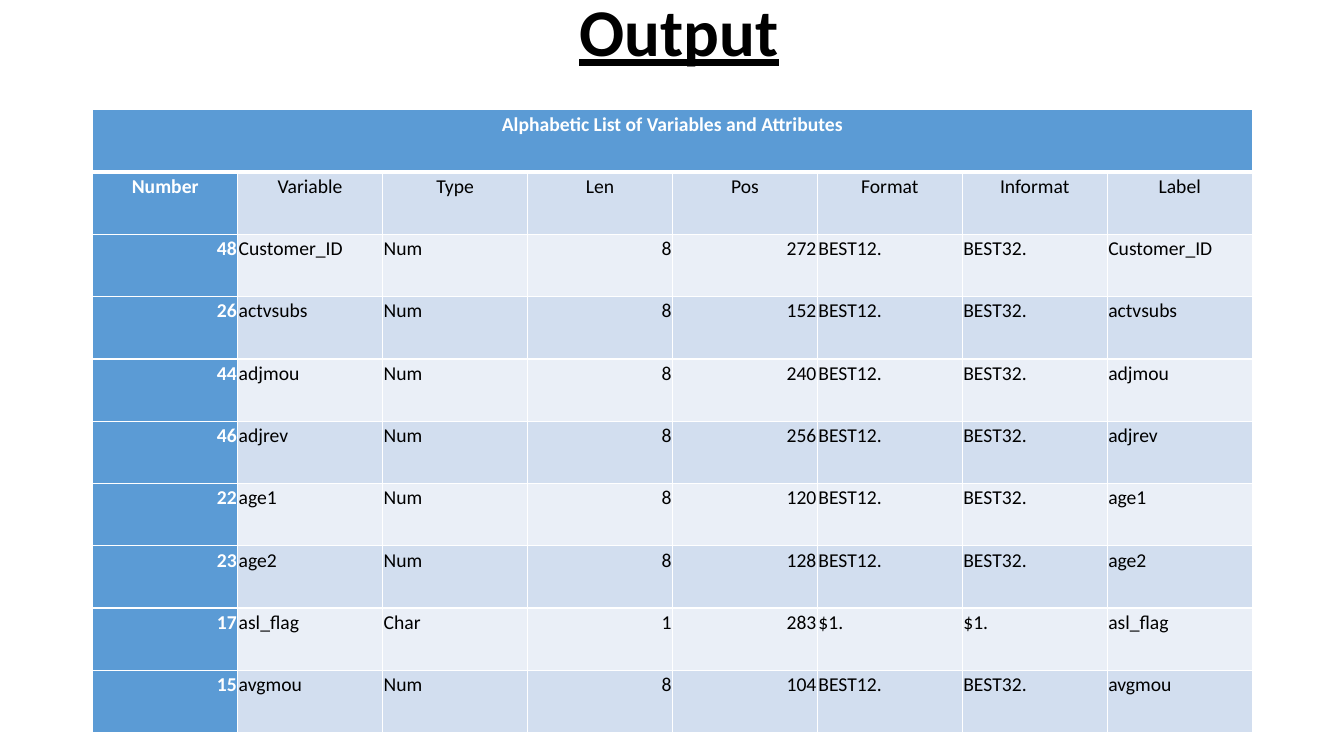
from dataclasses import dataclass

from lxml import etree
from pptx import Presentation
from pptx.dml.color import RGBColor
from pptx.enum import text
from pptx.oxml import ns
from pptx.util import Inches, Pt

TITLE = "Output"
CAPTION = "Alphabetic List of Variables and Attributes"
HEADINGS = ("Number", "Variable", "Type", "Len", "Pos", "Format", "Informat", "Label")
VARIABLES = [
    (48, "Customer_ID", "Num", 8, 272),
    (26, "actvsubs", "Num", 8, 152),
    (44, "adjmou", "Num", 8, 240),
    (46, "adjrev", "Num", 8, 256),
    (22, "age1", "Num", 8, 120),
    (23, "age2", "Num", 8, 128),
    (17, "asl_flag", "Char", 1, 283),
    (15, "avgmou", "Num", 8, 104),
]
FORMATS = {"Num": ("BEST12.", "BEST32."), "Char": ("$1.", "$1.")}


@dataclass(frozen=True)
class Theme:
    font: str = "Calibri"
    ink: str = "000000"
    paper: str = "FFFFFF"
    accent: str = "5B9BD5"
    bands: tuple = ("EAEFF7", "D2DEEF")
    title_size: float = 47.7
    cell_size: float = 14
    line: float = 1
    heavy_line: float = 3


T = Theme()
ALIGN = text.PP_ALIGN


def style_paragraph(p, size, color, bold, align, spacing):
    p.alignment = align
    p.line_spacing = spacing
    font = p.runs[0].font
    font.name, font.size, font.bold = T.font, Pt(size), bold
    font.color.rgb = RGBColor.from_string(color)


def add_borders(cell, **widths):
    tcPr = cell._tc.get_or_add_tcPr()
    for side in "LRTB":
        width = widths.get(side, T.line)
        ln = etree.SubElement(tcPr, ns.qn(f"a:ln{side}"), w=str(Pt(width)))
        fill = etree.SubElement(ln, ns.qn("a:solidFill"))
        etree.SubElement(fill, ns.qn("a:srgbClr"), val=T.paper)


def fill_cell(cell, value, row, col):
    accent = row == 0 or col == 0
    if row < 2:
        align = ALIGN.CENTER
    else:
        align = ALIGN.RIGHT if isinstance(value, int) else ALIGN.LEFT
    cell.margin_left = cell.margin_right = Inches(0.01)
    cell.margin_top = cell.margin_bottom = Inches(0.01)
    if value != "":
        cell.text = str(value)
        style_paragraph(cell.text_frame.paragraphs[0], T.cell_size,
                        T.paper if accent else T.ink, accent, align, 1.07)
    add_borders(cell, **{0: {"B": T.heavy_line}, 1: {"T": T.heavy_line}}.get(row, {}))
    cell.fill.solid()
    cell.fill.fore_color.rgb = RGBColor.from_string(T.accent if accent else T.bands[row % 2])


prs = Presentation()
prs.slide_width, prs.slide_height = Inches(13.33), Inches(7.5)
s = prs.slides.add_slide(prs.slide_layouts[5])

title = s.shapes.title
title.left, title.top = Inches(0.14), Inches(0)
title.width, title.height = Inches(13.19), Inches(0.75)
tf = title.text_frame
tf.text = TITLE
tf.word_wrap = True
tf.auto_size = text.MSO_AUTO_SIZE.NONE
tf.vertical_anchor = text.MSO_ANCHOR.BOTTOM
style_paragraph(tf.paragraphs[0], T.title_size, T.ink, True, ALIGN.CENTER, 0.9)
tf.paragraphs[0].runs[0].font.underline = True

rows = [(CAPTION,) + ("",) * (len(HEADINGS) - 1), HEADINGS]
rows += [(num, name, kind, length, pos, *FORMATS[kind], name)
         for num, name, kind, length, pos in VARIABLES]

table = s.shapes.add_table(len(rows), len(HEADINGS), Inches(0.92), Inches(1.09),
                           Inches(11.5), Inches(6.18)).table
for r, values in enumerate(rows):
    for c, value in enumerate(values):
        fill_cell(table.cell(r, c), value, r, c)
table.cell(0, 0).merge(table.cell(0, len(HEADINGS) - 1))

prs.save("out.pptx")
